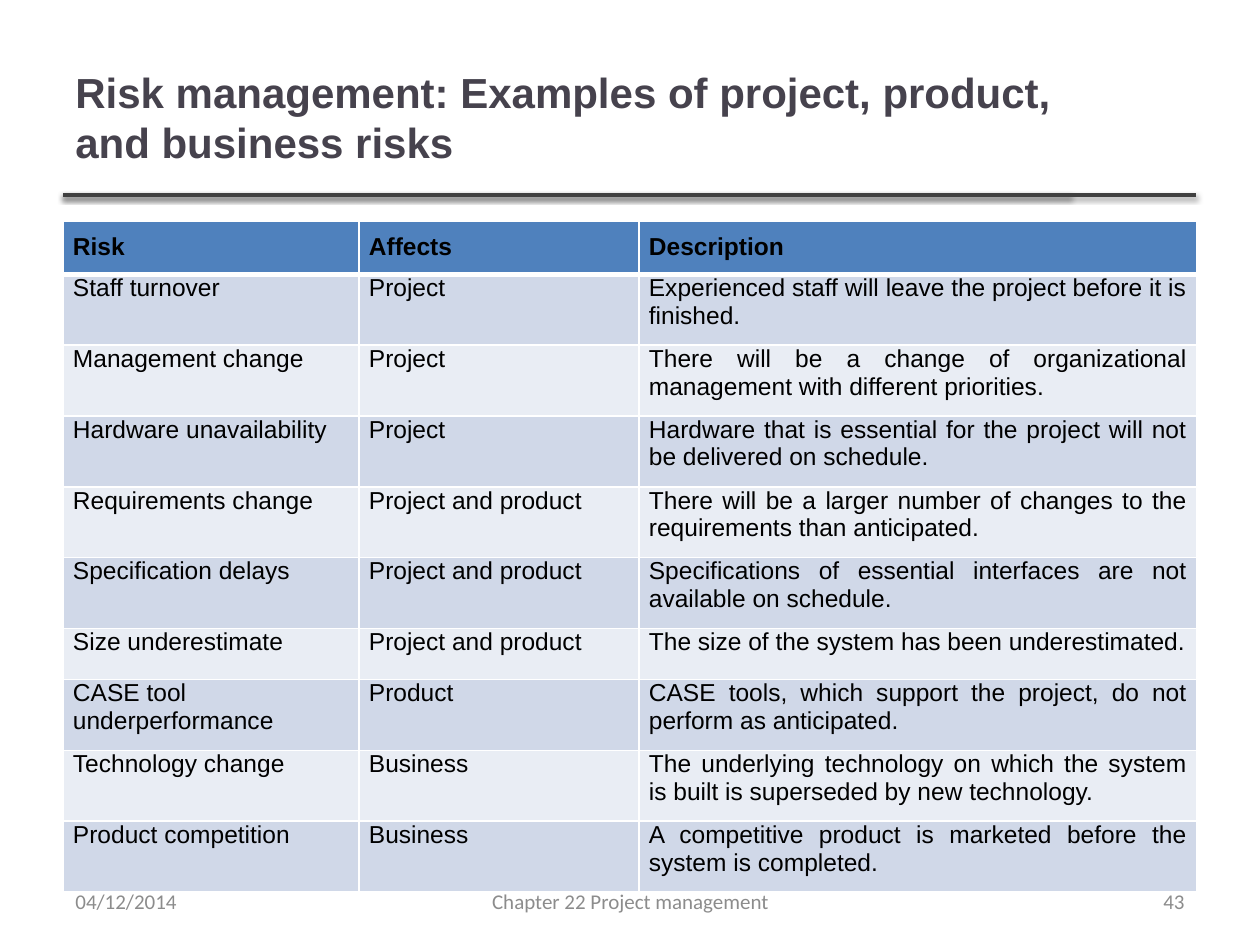
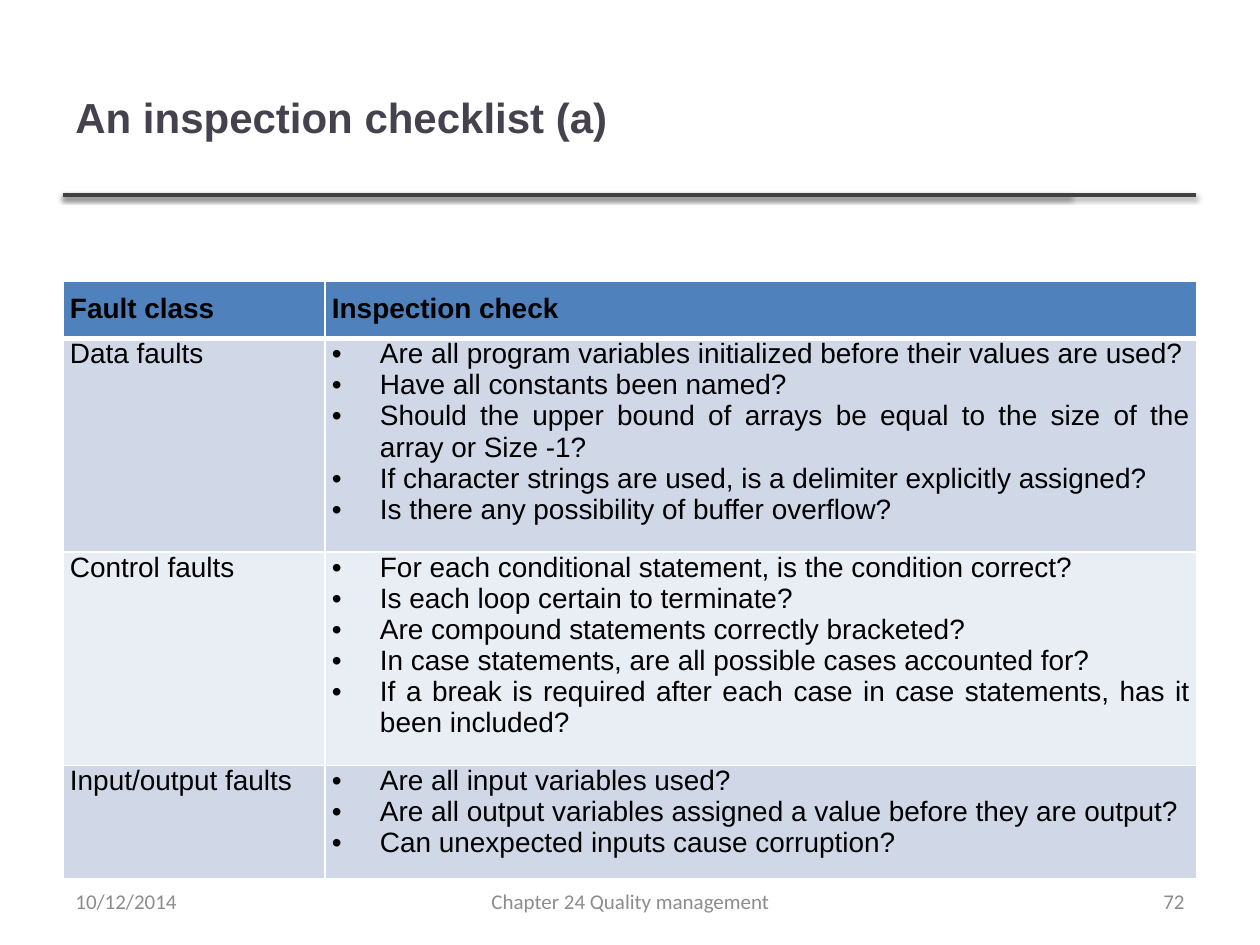
from lxml import etree
from pptx import Presentation
from pptx.dml.color import RGBColor
from pptx.enum import shapes, text
from pptx.oxml import ns
from pptx.util import Emu, Pt

INK, GREY, RULE, TITLE = "000000", "8C8C8C", "404040", "46424D"
HEAD, BANDS, EDGE = "4F81BD", ("D0D8E8", "E9EDF4"), "FFFFFF"
LEFT, WIDE = 63, 1134
ALIGN = text.PP_ALIGN

RISKS = [
    ("Risk", "Affects", "Description"),
    ("Staff turnover", "Project",
     "Experienced staff will leave the project before it is finished."),
    ("Management change", "Project",
     "There will be a change of organizational management with different priorities."),
    ("Hardware unavailability", "Project",
     "Hardware that is essential for the project will not be delivered on schedule."),
    ("Requirements change", "Project and product",
     "There will be a larger number of changes to the requirements than anticipated."),
    ("Specification delays", "Project and product",
     "Specifications of essential interfaces are not available on schedule."),
    ("Size underestimate", "Project and product",
     "The size of the system has been underestimated."),
    ("CASE tool underperformance", "Product",
     "CASE tools, which support the project, do not perform as anticipated."),
    ("Technology change", "Business",
     "The underlying technology on which the system is built is superseded by new technology."),
    ("Product competition", "Business",
     "A competitive product is marketed before the system is completed."),
]

CHECKS = [
    ("Fault class", "Inspection check"),
    ("Data faults", [
        "Are all program variables initialized before their values are used?",
        "Have all constants been named?",
        "Should the upper bound of arrays be equal to the size of the array or Size -1?",
        "If character strings are used, is a delimiter explicitly assigned?",
        "Is there any possibility of buffer overflow?"]),
    ("Control faults", [
        "For each conditional statement, is the condition correct?",
        "Is each loop certain to terminate?",
        "Are compound statements correctly bracketed?",
        "In case statements, are all possible cases accounted for?",
        "If a break is required after each case in case statements, has it been included?"]),
    ("Input/output faults", [
        "Are all input variables used?",
        "Are all output variables assigned a value before they are output?",
        "Can unexpected inputs cause corruption?"]),
]


def px(n):
    return Emu(round(n * 914400 / 126))


def tint(color, code):
    color.rgb = RGBColor.from_string(code)


def node(root, tag, **attrs):
    return etree.SubElement(root, ns.qn(tag), attrs)


def style(para, face, size, code, align, bold=False):
    para.alignment = align
    font = para.font
    font.name, font.size, font.bold = face, Pt(size), bold
    tint(font.color, code)


def label(slide, box, words, *look):
    frame = slide.shapes.add_textbox(*map(px, box)).text_frame
    frame.word_wrap = True
    frame.vertical_anchor = text.MSO_ANCHOR.MIDDLE
    frame.text = words
    style(frame.paragraphs[0], *look)


def rule(slide, left, top, wide):
    line = slide.shapes.add_connector(
        shapes.MSO_CONNECTOR.STRAIGHT, px(left), px(top), px(left + wide), px(top))
    line.line.width = Pt(2)
    tint(line.line.color, RULE)
    glow = node(node(line._element.spPr, "a:effectLst"), "a:outerShdw",
                blurRad=str(Pt(3.1)), dist=str(Pt(1.6)), dir="5400000", rotWithShape="0")
    node(node(glow, "a:srgbClr", val=INK), "a:alpha", val="38000")


def header(slide, title):
    for wide in (1007, 1133):
        rule(slide, LEFT, 195, wide)
    label(slide, (LEFT, 38, 1006, 157), title, "Arial", 24, TITLE, ALIGN.LEFT, True)


def footer(slide, date, name, page):
    parts = [(LEFT, 294, date, ALIGN.LEFT), (431, 399, name, ALIGN.CENTER),
             (903, 294, page, ALIGN.RIGHT)]
    for left, wide, words, align in parts:
        label(slide, (left, 876, wide, 50), words, "Calibri", 12, GREY, align)


def bullet(para):
    props = para._p.get_or_add_pPr()
    props.set("marL", str(px(48)))
    props.set("indent", str(px(-48)))
    for spot, (tag, key, value) in enumerate(
            [("a:buFont", "typeface", "Arial"), ("a:buChar", "char", "•")]):
        item = etree.Element(ns.qn(tag), {key: value})
        props.insert(spot, item)


def border(cell, top):
    props = cell._tc.get_or_add_tcPr()
    for spot, side in enumerate("LRTB"):
        size = 3 if top and side == "B" else 1
        line = etree.Element(ns.qn("a:ln" + side), w=str(Pt(size)))
        node(node(line, "a:solidFill"), "a:srgbClr", val=EDGE)
        props.insert(spot, line)


def fill(cell, words, row, align, size, inset):
    top = row == 0
    cell.margin_left = cell.margin_right = px(inset)
    cell.margin_top, cell.margin_bottom = px(12 if top else 0), px(12)
    cell.fill.solid()
    tint(cell.fill.fore_color, HEAD if top else BANDS[(row - 1) % 2])
    border(cell, top)
    listed = isinstance(words, list)
    cell.text = "\n".join(words) if listed else words
    for para in cell.text_frame.paragraphs:
        style(para, "Arial", size, INK, align, top)
        if listed:
            bullet(para)


def grid(slide, box, data, cols, size, inset):
    table = slide.shapes.add_table(len(data), len(cols), *map(px, box)).table
    table.first_row = table.horz_banding = False
    for col, wide in zip(table.columns, cols):
        col.width = px(wide)
    for r, row in enumerate(data):
        for c, words in enumerate(row):
            last = c == len(cols) - 1
            align = ALIGN.JUSTIFY if last or r == 0 else ALIGN.LEFT
            fill(table.cell(r, c), words, r, align, size, inset)


def page(deck, title, foot, top, *spec_args):
    slide = deck.slides.add_slide(deck.slide_layouts[6])
    header(slide, title)
    data = spec_args[0]
    grid(slide, (LEFT, top, WIDE, 51 * len(data)), *spec_args)
    footer(slide, *foot)


def main():
    deck = Presentation()
    deck.slide_width, deck.slide_height = px(1260), px(945)
    page(deck, "Risk management: Examples of project, product, and business risks",
         ("04/12/2014", "Chapter 22 Project management", "43"),
         221, RISKS, (296, 280, 558), 14, 10)
    page(deck, "An inspection checklist (a)",
         ("10/12/2014", "Chapter 24 Quality management", "72"),
         281, CHECKS, (262, 872), 16, 7)
    deck.save("out.pptx")


if __name__ == "__main__":
    main()
